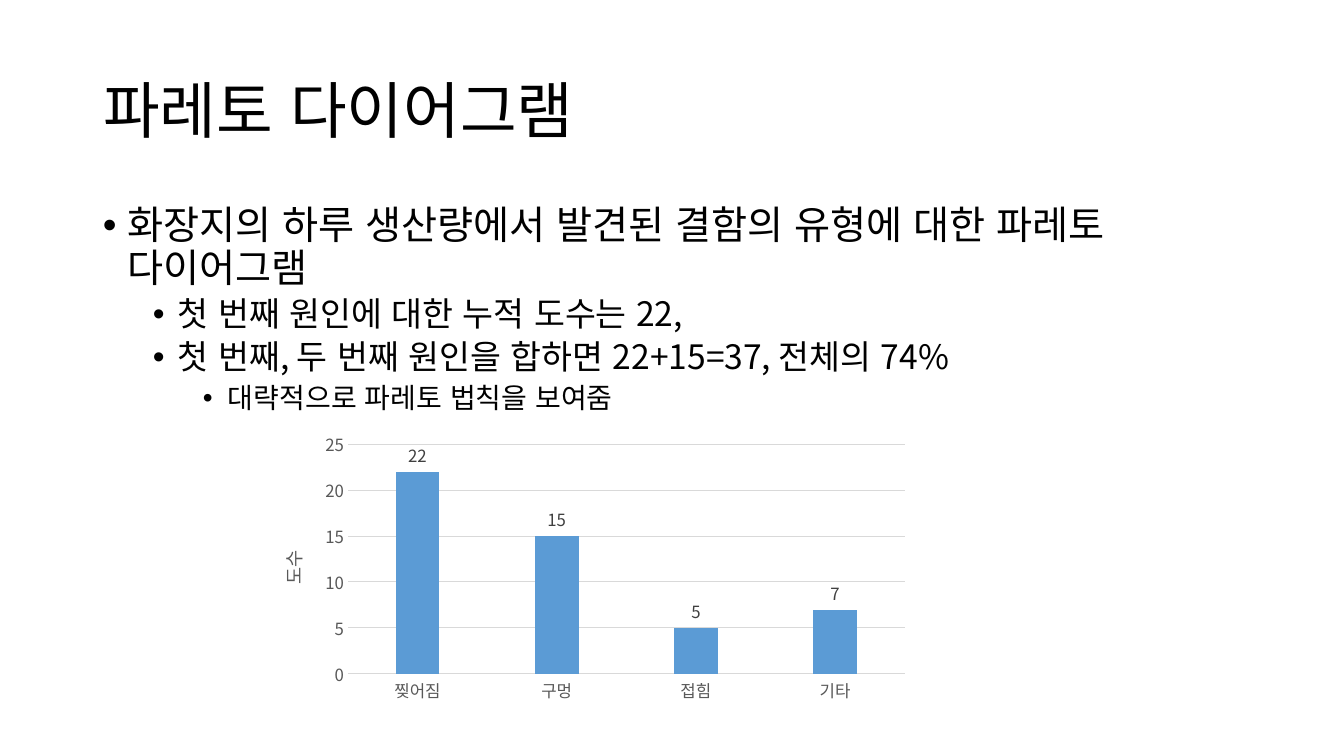
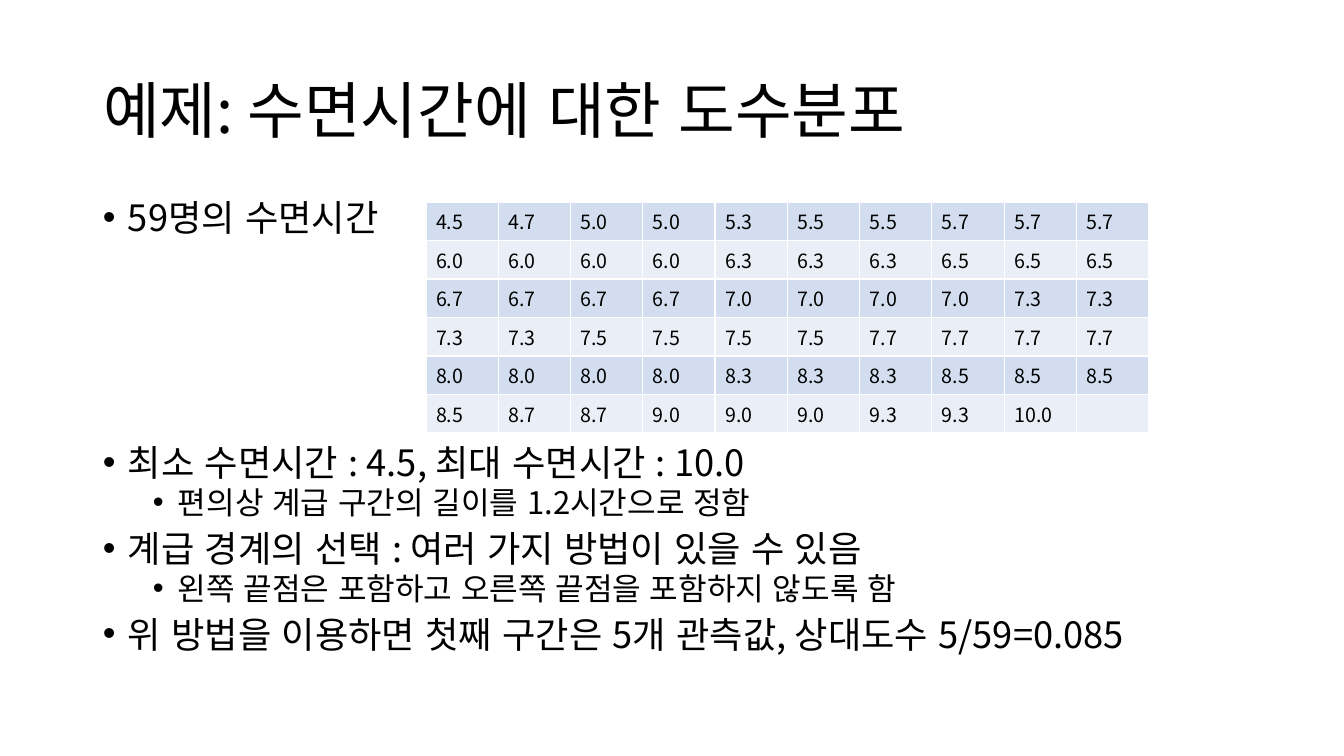
from lxml import etree
from pptx import Presentation
from pptx import util as u
from pptx.chart.data import CategoryChartData
from pptx.dml.color import RGBColor
from pptx.enum import chart as ch
from pptx.enum import lang, text
from pptx.oxml import parse_xml
from pptx.oxml.ns import nsdecls, qn

FONT = "Noto Sans CJK KR"
BLACK, WHITE, BAR, GRID = "000000", "FFFFFF", "5B9BD5", "D9D9D9"
AXIS_TEXT, LABEL_TEXT = "595959", "404040"
BANDS = ("D2DEEF", "EAEFF7")

PX = 914400 / 100.8
LEFT, WIDTH = 93, 1159
INDENT, STEP = 25, 50

SLEEP_HOURS = """
4.5 4.7 5.0 5.0 5.3 5.5 5.5 5.7 5.7 5.7
6.0 6.0 6.0 6.0 6.3 6.3 6.3 6.5 6.5 6.5
6.7 6.7 6.7 6.7 7.0 7.0 7.0 7.0 7.3 7.3
7.3 7.3 7.5 7.5 7.5 7.5 7.7 7.7 7.7 7.7
8.0 8.0 8.0 8.0 8.3 8.3 8.3 8.5 8.5 8.5
8.5 8.7 8.7 9.0 9.0 9.0 9.3 9.3 10.0
"""


def px(length):
    return u.Emu(round(length * PX))


def box(left, top, width, height):
    return [px(length) for length in (left, top, width, height)]


def rgb(color):
    return RGBColor.from_string(color)


def style_font(font, size, color=BLACK):
    font.name, font.size, font.bold = FONT, u.Pt(size), False
    font.color.rgb = rgb(color)
    font.language_id = lang.MSO_LANGUAGE_ID.KOREAN


def style_paragraph(paragraph, size):
    """Set the font for Latin and for Korean letters."""
    style_font(paragraph.font, size)
    for run in paragraph.runs:
        run.font.language_id = lang.MSO_LANGUAGE_ID.KOREAN
    defaults = paragraph._p.pPr.find(qn("a:defRPr"))
    latin = defaults.find(qn("a:latin"))
    latin.addnext(parse_xml(f'<a:ea {nsdecls("a")} typeface="{FONT}"/>'))
    return defaults


def add_titled_slide(deck, words):
    slide = deck.slides.add_slide(deck.slide_layouts[5])
    title = slide.shapes.title
    title.left, title.top, title.width, title.height = box(LEFT, 41, WIDTH, 146)
    title.text_frame.text = words
    title.text_frame.vertical_anchor = text.MSO_ANCHOR.MIDDLE
    heading = title.text_frame.paragraphs[0]
    heading.alignment = text.PP_ALIGN.LEFT
    heading.line_spacing = 0.9
    style_paragraph(heading, 44)
    return slide


def add_bullets(slide, place, items, sizes, line_spacing):
    """Add (level, words) items; sizes holds one text size for each level."""
    frame = slide.shapes.add_textbox(*box(*place)).text_frame
    frame.word_wrap = True
    for index, (level, words) in enumerate(items):
        paragraph = frame.paragraphs[0] if index == 0 else frame.add_paragraph()
        paragraph.text, paragraph.level = words, level
        paragraph.line_spacing = line_spacing
        paragraph.space_before = u.Pt(0 if index == 0 else 5 if level else 10)
        defaults = style_paragraph(paragraph, sizes[level])
        properties = paragraph._p.pPr
        properties.set("marL", str(px(INDENT + level * STEP)))
        properties.set("indent", str(px(-INDENT)))
        for bullet in ('buFont {} typeface="Arial"', 'buChar {} char="•"'):
            defaults.addprevious(parse_xml(f'<a:{bullet.format(nsdecls("a"))}/>'))


def set_plot_layout(chart, x, y, w, h):
    """Fix the inner plot area as fractions of the chart."""
    plot_area = chart._chartSpace.chart.plotArea
    for old in plot_area.findall(qn("c:layout")):
        plot_area.remove(old)
    layout = etree.Element(qn("c:layout"))
    manual = etree.SubElement(layout, qn("c:manualLayout"))
    settings = {"layoutTarget": "inner", "xMode": "edge", "yMode": "edge",
                "x": x, "y": y, "w": w, "h": h}
    for tag, value in settings.items():
        etree.SubElement(manual, qn(f"c:{tag}")).set("val", str(value))
    plot_area.insert(0, layout)


def style_line(line, color):
    line.color.rgb, line.width = rgb(color), u.Pt(0.75)


def add_defect_chart(slide):
    defects = CategoryChartData()
    defects.categories = ["찢어짐", "구멍", "접힘", "기타"]
    defects.add_series("Series 1", (22, 15, 5, 7))
    chart = slide.shapes.add_chart(ch.XL_CHART_TYPE.COLUMN_CLUSTERED,
                                   *box(254, 426, 671, 306), defects).chart
    chart.has_legend = chart.has_title = False
    style_font(chart.font, 10)
    set_plot_layout(chart, 0.14, 0.06, 0.83, 0.75)

    causes, counts = chart.category_axis, chart.value_axis
    for axis in (causes, counts):
        axis.major_tick_mark = axis.minor_tick_mark = ch.XL_TICK_MARK.NONE
        style_font(axis.tick_labels.font, 12, AXIS_TEXT)
    style_line(causes.format.line, GRID)
    counts.minimum_scale, counts.maximum_scale, counts.major_unit = 0, 25, 5
    counts.format.line.fill.background()
    style_line(counts.major_gridlines.format.line, GRID)
    counts.axis_title.text_frame.text = "도수"
    style_font(counts.axis_title.text_frame.paragraphs[0].font, 13.3, AXIS_TEXT)

    plot = chart.plots[0]
    plot.vary_by_categories = False
    plot.gap_width, plot.overlap = 219, -27
    bars = plot.series[0].format
    bars.fill.solid()
    bars.fill.fore_color.rgb = rgb(BAR)
    plot.has_data_labels = True
    labels = plot.data_labels
    labels.show_value = True
    labels.position = ch.XL_LABEL_POSITION.OUTSIDE_END
    style_font(labels.font, 12, LABEL_TEXT)


def style_cell(cell, fill):
    properties = cell._tc.get_or_add_tcPr()
    for side in ("lnL", "lnR", "lnT", "lnB"):
        properties.append(parse_xml(
            f'<a:{side} {nsdecls("a")} w="{u.Pt(1)}"><a:solidFill>'
            f'<a:srgbClr val="{WHITE}"/></a:solidFill></a:{side}>'))
    cell.fill.solid()
    cell.fill.fore_color.rgb = rgb(fill)
    style_paragraph(cell.text_frame.paragraphs[0], 14)


def add_hours_table(slide):
    rows = [line.split() for line in SLEEP_HOURS.strip().splitlines()]
    columns = len(rows[0])
    table = slide.shapes.add_table(len(rows), columns,
                                   *box(426, 202, 723, 231)).table
    table.first_row = table.horz_banding = False
    for row, hours in enumerate(rows):
        for column in range(columns):
            cell = table.cell(row, column)
            cell.text = hours[column] if column < len(hours) else ""
            style_cell(cell, BANDS[row % 2])


def build_pareto(deck):
    slide = add_titled_slide(deck, "파레토 다이어그램")
    add_bullets(slide, (LEFT, 201, WIDTH, 220), [
        (0, "화장지의 하루 생산량에서 발견된 결함의 유형에 대한 파레토 다이어그램"),
        (1, "첫 번째 원인에 대한 누적 도수는 22,"),
        (1, "첫 번째, 두 번째 원인을 합하면 22+15=37, 전체의 74%"),
        (2, "대략적으로 파레토 법칙을 보여줌"),
    ], (28, 24, 20), 0.9)
    add_defect_chart(slide)


def build_sleep_hours(deck):
    slide = add_titled_slide(deck, "예제: 수면시간에 대한 도수분포")
    sizes, line_spacing = (25.9, 22.2), 0.8
    add_bullets(slide, (LEFT, 199, 330, 50), [(0, "59명의 수면시간")],
                sizes, line_spacing)
    add_bullets(slide, (LEFT, 444, WIDTH, 230), [
        (0, "최소 수면시간 : 4.5, 최대 수면시간 : 10.0"),
        (1, "편의상 계급 구간의 길이를 1.2시간으로 정함"),
        (0, "계급 경계의 선택 : 여러 가지 방법이 있을 수 있음"),
        (1, "왼쪽 끝점은 포함하고 오른쪽 끝점을 포함하지 않도록 함"),
        (0, "위 방법을 이용하면 첫째 구간은 5개 관측값, 상대도수 5/59=0.085"),
    ], sizes, line_spacing)
    add_hours_table(slide)


def main():
    deck = Presentation()
    deck.slide_width, deck.slide_height = px(1344), px(756)
    build_pareto(deck)
    build_sleep_hours(deck)
    deck.save("out.pptx")


if __name__ == "__main__":
    main()
